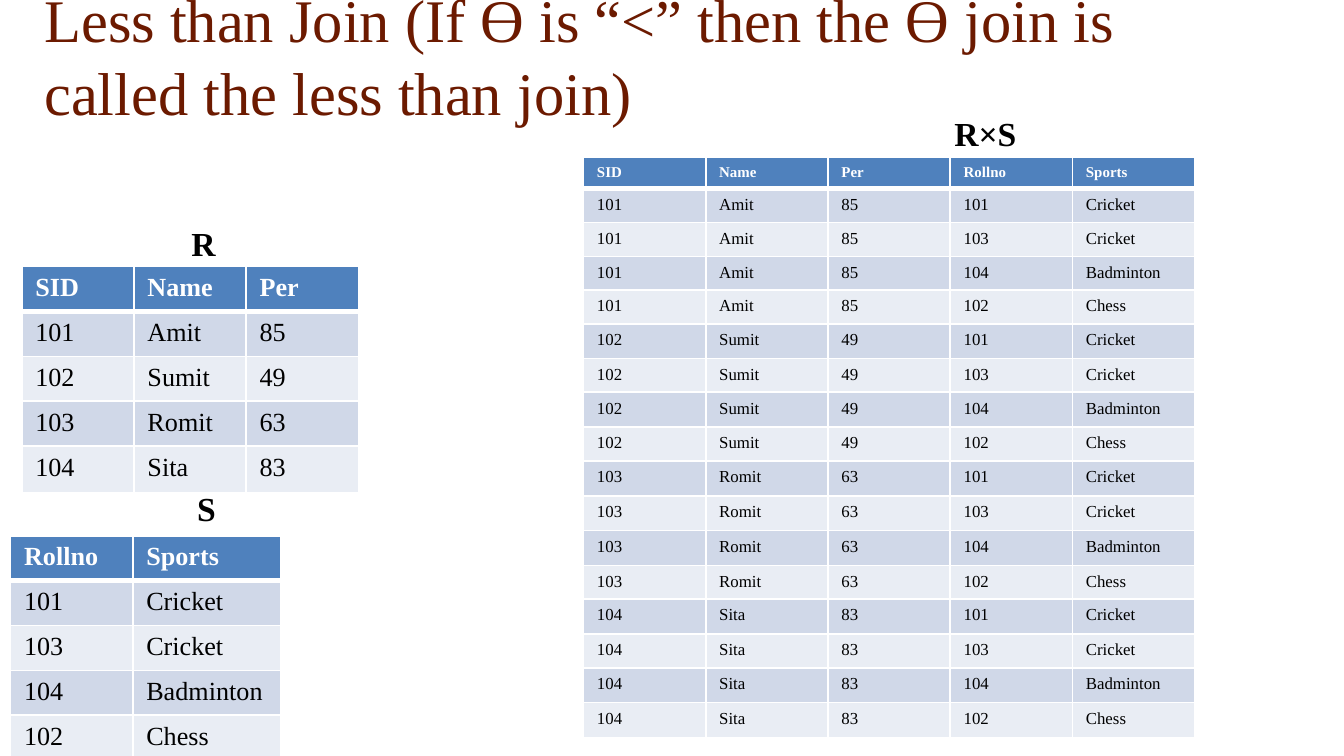
from dataclasses import dataclass
from itertools import product

from lxml.etree import SubElement
from pptx import Presentation
from pptx.dml.color import RGBColor
from pptx.enum.text import MSO_ANCHOR
from pptx.oxml.ns import qn
from pptx.util import Pt

FONT = "Times New Roman"
COLORS = {
    "title": "6C1A00",
    "text": "000000",
    "white": "FFFFFF",
    "header": "4F81BD",
    "odd": "D0D8E8",
    "even": "E9EDF4",
}


@dataclass
class Label:
    text: str
    left: float
    top: float
    width: float
    height: float
    size: float = 18
    color: str = "text"
    bold: bool = True
    anchor: MSO_ANCHOR = MSO_ANCHOR.TOP


@dataclass
class Relation:
    left: float
    top: float
    column_widths: list[float]
    row_heights: list[float]
    rows: list[tuple[str, ...]]
    header_size: float = 14
    body_size: float = 14


def style_paragraph(paragraph, size: float, color: str, bold: bool) -> None:
    font = paragraph.font
    font.name, font.size, font.bold = FONT, Pt(size), bold
    font.color.rgb = RGBColor.from_string(COLORS[color])


def add_label(slide, label: Label) -> None:
    box = slide.shapes.add_textbox(
        Pt(label.left), Pt(label.top), Pt(label.width), Pt(label.height))
    frame = box.text_frame
    frame.word_wrap = True
    frame.vertical_anchor = label.anchor
    frame.text = label.text
    style_paragraph(frame.paragraphs[0], label.size, label.color, label.bold)


def set_borders(cell, top: float, bottom: float) -> None:
    properties = cell._tc.get_or_add_tcPr()
    for side, width in (("L", 1), ("R", 1), ("T", top), ("B", bottom)):
        line = SubElement(properties, qn(f"a:ln{side}"), w=str(Pt(width)))
        fill = SubElement(line, qn("a:solidFill"))
        SubElement(fill, qn("a:srgbClr"), val=COLORS["white"])


def add_relation(slide, relation: Relation) -> None:
    widths, heights = relation.column_widths, relation.row_heights
    table = slide.shapes.add_table(
        len(relation.rows), len(widths), Pt(relation.left), Pt(relation.top),
        Pt(sum(widths)), Pt(sum(heights))).table
    for column, width in zip(table.columns, widths):
        column.width = Pt(width)
    for index, (row, height, values) in enumerate(
            zip(table.rows, heights, relation.rows)):
        row.height = Pt(height)
        is_header = index == 0
        band = "header" if is_header else "odd" if index % 2 else "even"
        for cell, value in zip(row.cells, values):
            set_borders(cell, 3 if index == 1 else 1, 3 if is_header else 1)
            cell.fill.solid()
            cell.fill.fore_color.rgb = RGBColor.from_string(COLORS[band])
            cell.text = value
            style_paragraph(
                cell.text_frame.paragraphs[0],
                relation.header_size if is_header else relation.body_size,
                "white" if is_header else "text", is_header)


# Relations and their cross product
students = [("SID", "Name", "Per"), ("101", "Amit", "85"), ("102", "Sumit", "49"),
            ("103", "Romit", "63"), ("104", "Sita", "83")]
sports = [("Rollno", "Sports"), ("101", "Cricket"), ("103", "Cricket"),
          ("104", "Badminton"), ("102", "Chess")]
cross_product = [students[0] + sports[0]] + [
    student + sport for student, sport in product(students[1:], sports[1:])]
tall_rows = {5, 7, 9, 10, 11, 13, 15, 16}
cross_heights = [16.3] + [18.7 if index in tall_rows else 18 for index in range(1, 17)]

RELATIONS = [
    Relation(11.7, 142.8, [60.1] * 3, [22.6] * 4 + [25.2], students),
    Relation(5.7, 287, [65.5, 79.4], [22.6] * 5, sports),
    Relation(312.6, 84.4, [65.5] * 5, cross_heights, cross_product, 8, 9),
]
LABELS = [
    Label("Less than Join (If ϴ is “<” then the ϴ join is called the less than join)",
          16.7, -0.7, 649.4, 60.5, 32.4, "title", False, MSO_ANCHOR.MIDDLE),
    Label("R", 95.5, 115.9, 48.2, 29),
    Label("S", 98.5, 257.8, 48.2, 29),
    Label("R×S", 504.2, 57, 48.2, 29),
]

# Slide
presentation = Presentation()
presentation.slide_width, presentation.slide_height = Pt(720), Pt(405)
slide = presentation.slides.add_slide(presentation.slide_layouts[6])
for label in LABELS:
    add_label(slide, label)
for relation in RELATIONS:
    add_relation(slide, relation)

presentation.save("out.pptx")
